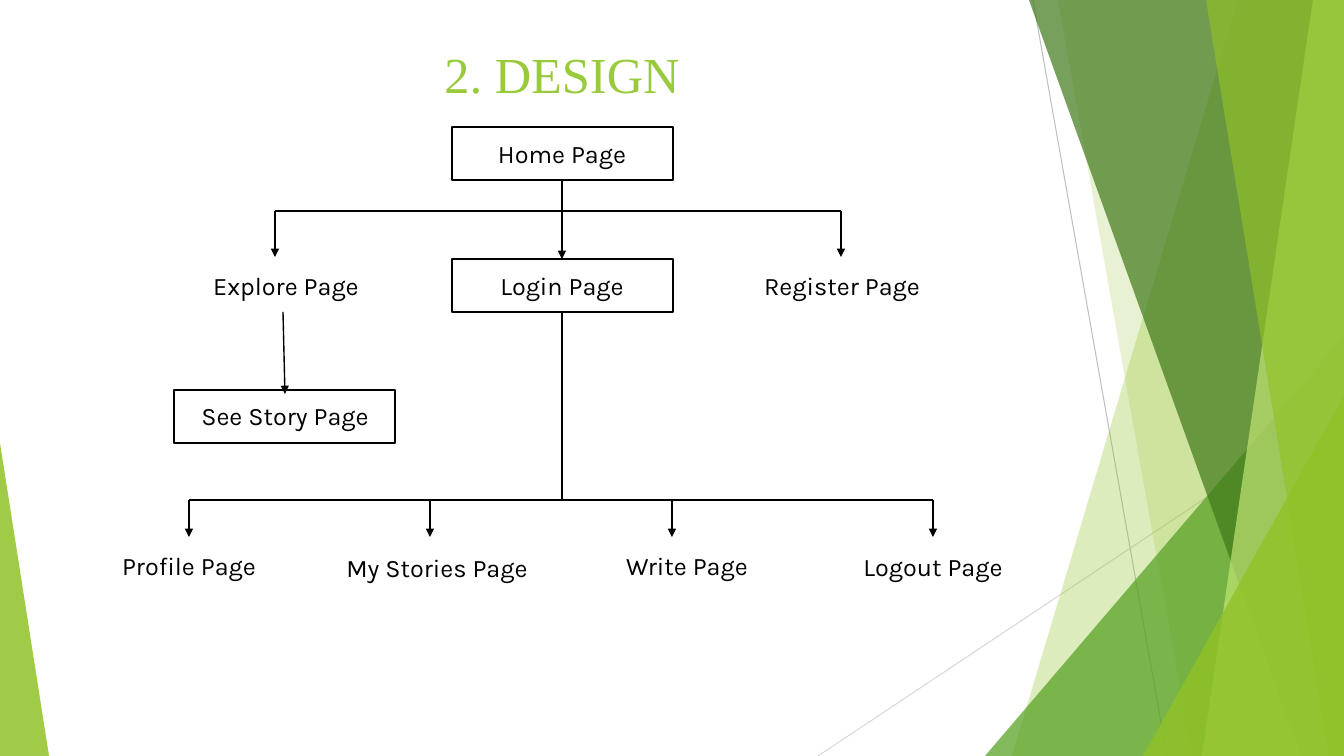
from lxml import etree
from pptx import Presentation
from pptx.dml.color import RGBColor
from pptx.enum.shapes import MSO_CONNECTOR, MSO_SHAPE
from pptx.enum.text import PP_ALIGN
from pptx.oxml.ns import qn
from pptx.util import Pt

PX = 914400 / 100.8
W, H = 1344, 756
STRAIGHT = MSO_CONNECTOR.STRAIGHT
RECT, TRIANGLE = MSO_SHAPE.RECTANGLE, MSO_SHAPE.ISOSCELES_TRIANGLE
CENTER = PP_ALIGN.CENTER

BLACK = RGBColor(0x00, 0x00, 0x00)
GREY = RGBColor(0xBF, 0xBF, 0xBF)
PALE_GREY = RGBColor(0xD9, 0xD9, 0xD9)
LIME = RGBColor(0x90, 0xC2, 0x26)
PALE_LIME = RGBColor(0xC0, 0xE4, 0x74)
GREEN = RGBColor(0x54, 0xA0, 0x21)
DARK_GREEN = RGBColor(0x3F, 0x78, 0x19)
TITLE_GREEN = RGBColor(0x99, 0xCA, 0x3C)

prs = Presentation()
prs.slide_width, prs.slide_height = round(W * PX), round(H * PX)
s = prs.slides.add_slide(prs.slide_layouts[6])


def px(*lengths):
    """Turn pixel lengths into EMU."""
    return [round(n * PX) for n in lengths]


def add_line(x1, y1, x2, y2, color=BLACK, width=1, arrow=False):
    c = s.shapes.add_connector(STRAIGHT, *px(x1, y1, x2, y2))
    c.line.color.rgb = color
    c.line.width = Pt(width)
    if arrow:
        etree.SubElement(c.line._get_or_add_ln(), qn("a:tailEnd"), type="triangle")
    etree.SubElement(c._element.spPr, qn("a:effectLst"))


# Background facets
add_line(1033, 0, 1167, H, GREY, 0.75)
add_line(W, 406, 818, H, PALE_GREY, 0.75)

# Bands reach the right edge: top left x, bottom left x, colour, opacity in percent
# Triangles: left, top, width, apex position, colour, opacity in percent
facets = [
    ("band", (1238, 1012), LIME, 30),
    ("band", (1058, 1192), LIME, 20),
    ("triangle", (985, 336, 359, 1), GREEN, 72),
    ("band", (1029, 1301), DARK_GREEN, 70),
    ("band", (1313, 1202), PALE_LIME, 70),
    ("band", (1206, 1329), LIME, 65),
    ("triangle", (1143, 396, 201, 1), LIME, 80),
    ("triangle", (0, 443, 49, 0), LIME, 85),
]
for kind, place, color, opacity in facets:
    if kind == "band":
        top_x, bottom_x = place
        fb = s.shapes.build_freeform(top_x, 0, scale=PX)
        fb.add_line_segments([(W, 0), (W, H), (bottom_x, H)], close=True)
        sp = fb.convert_to_shape()
    else:
        x, y, w, apex = place
        sp = s.shapes.add_shape(TRIANGLE, *px(x, y, w, H - y))
        sp.adjustments[0] = apex
    sp.shadow.inherit = False
    sp.line.fill.background()
    sp.fill.solid()
    sp.fill.fore_color.rgb = color
    clr = sp._element.spPr.find(qn("a:solidFill"))[0]
    etree.SubElement(clr, qn("a:alpha"), val=str(opacity * 1000))

# Page frames
for x, y in [(452, 127), (452, 259), (174, 390)]:
    sp = s.shapes.add_shape(RECT, *px(x, y, 221, 53))
    sp.shadow.inherit = False
    sp.fill.background()
    sp.line.color.rgb = BLACK
    sp.line.width = Pt(1.5)

# Title and page names: text, centre x, top, width, height, font, size, colour
page = (221, 40, "Karla", 18, BLACK)
labels = [
    ("2. DESIGN", 562, 38, 390, 72, "Times New Roman", 36, TITLE_GREEN),
    ("Home Page", 562, 133, *page),
    ("Explore Page", 286, 265, *page),
    ("Login Page", 562, 265, *page),
    ("Register Page", 842, 265, *page),
    ("See Story Page", 285, 395, *page),
    ("Profile Page", 189, 545, *page),
    ("My Stories Page", 437, 547, *page),
    ("Write Page", 687, 545, *page),
    ("Logout Page", 933, 546, *page),
]
for text, center_x, y, w, h, font, size, color in labels:
    tf = s.shapes.add_textbox(*px(center_x - w / 2, y, w, h)).text_frame
    tf.word_wrap = True
    p = tf.paragraphs[0]
    p.text = text
    p.alignment = CENTER
    r = p.runs[0]
    r.font.name = font
    r.font.size = Pt(size)
    r.font.color.rgb = color

# Tree branches
for line in [(562, 180, 562, 211), (275, 211, 841, 211),
             (562, 312, 562, 500), (189, 500, 933, 500)]:
    add_line(*line)
for line in [(275, 211, 275, 257), (562, 211, 562, 259), (841, 211, 841, 257),
             (283, 312, 285, 394)]:
    add_line(*line, arrow=True)
for x in (189, 430, 672, 933):
    add_line(x, 500, x, 537, arrow=True)

prs.save("out.pptx")
